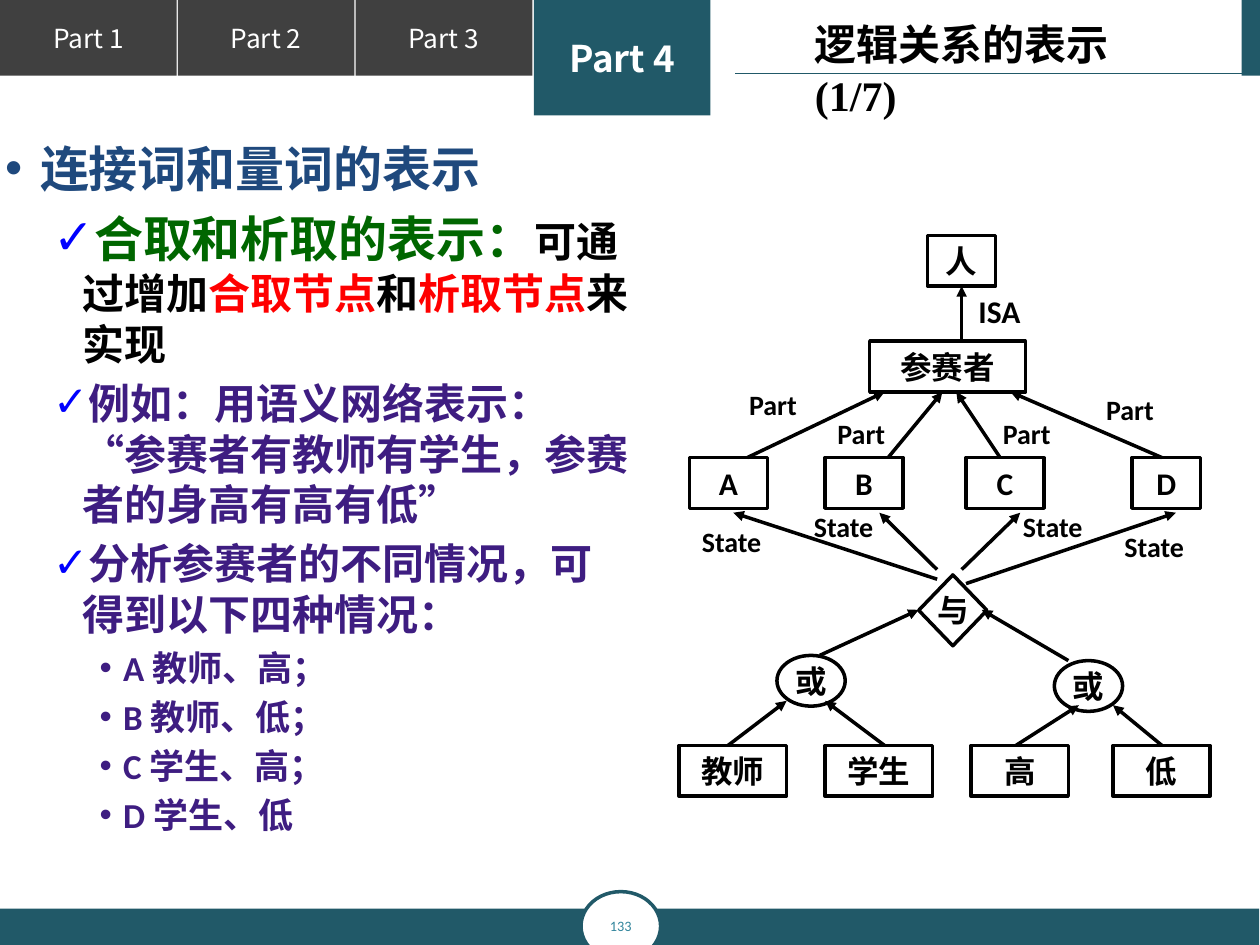
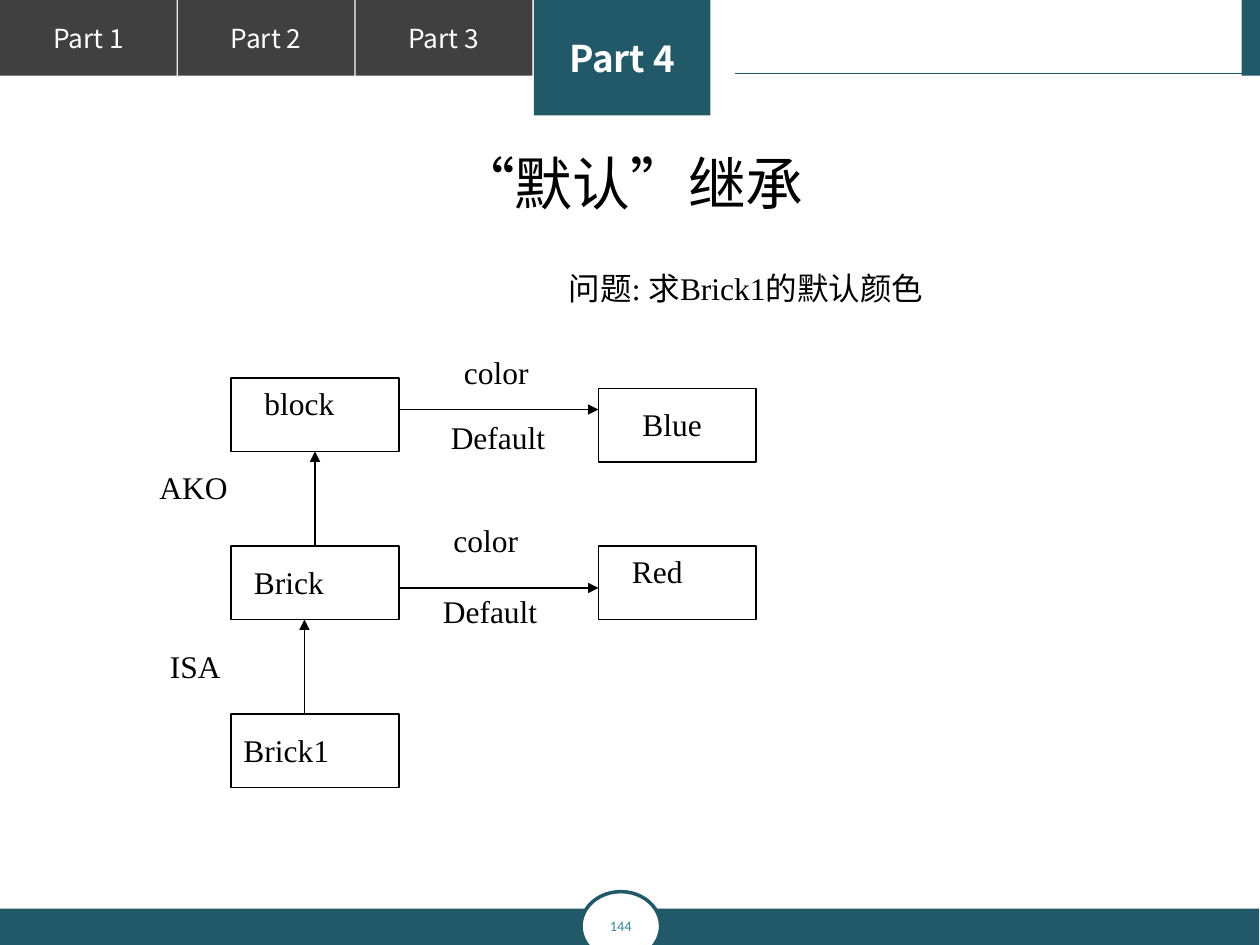
import pptx
import pptx.util
import pptx.dml.color
import pptx.enum.shapes
import pptx.enum.text
import pptx.oxml.ns
from lxml import etree

Pt = pptx.util.Pt
RGBColor = pptx.dml.color.RGBColor
SHAPE = pptx.enum.shapes.MSO_SHAPE
ALIGN = pptx.enum.text.PP_ALIGN
ANCHOR = pptx.enum.text.MSO_ANCHOR
qn = pptx.oxml.ns.qn

WHITE = RGBColor(0xFF, 0xFF, 0xFF)
BLACK = RGBColor(0x00, 0x00, 0x00)
GREY = RGBColor(0x40, 0x40, 0x40)
TEAL = RGBColor(0x21, 0x59, 0x68)
PALE_TEAL = RGBColor(0x31, 0x85, 0x9C)
NAVY = RGBColor(0x1F, 0x49, 0x7D)
GREEN = RGBColor(0x00, 0x66, 0x00)
RED = RGBColor(0xFF, 0x00, 0x00)
PURPLE = RGBColor(0x3E, 0x1D, 0x81)
BLUE = RGBColor(0x00, 0x00, 0xFF)

SANS, SERIF, CJK = "Calibri", "Times New Roman", "Noto Sans CJK SC"
TAB = {"name": CJK, "size": Pt(15), "bold": False}
ACTIVE_TAB = {"name": CJK, "size": Pt(21), "bold": True}
PAGE = {"name": SANS, "size": Pt(8.2), "bold": False}
NODE = {"name": SANS, "size": Pt(18), "bold": True}
RELATION = {"name": SANS, "size": Pt(16), "bold": True}
FRAME_WORD = {"name": SERIF, "size": Pt(18), "bold": False}
HEADING = {"name": SERIF, "size": Pt(24), "bold": True}
BIG_HEADING = {"name": SERIF, "size": Pt(33), "bold": False}
TOPIC = {"name": SERIF, "size": Pt(28), "bold": True}
POINT = {"name": SANS, "size": Pt(24), "bold": True}
CASE = {"name": SANS, "size": Pt(20), "bold": True}


def write(paragraph, words, look, colour):
    """Add one run in the given look, with the same font for Chinese text."""
    run = paragraph.add_run()
    run.text = words
    for key, value in look.items():
        setattr(run.font, key, value)
    run.font.color.rgb = colour
    etree.SubElement(run.font._element, qn("a:ea"), typeface=CJK)


def draw(slide, kind, place, fill=None, line=None, width=2,
         words="", look=NODE, colour=BLACK):
    """Add a preset shape with centred text."""
    shape = slide.shapes.add_shape(kind, *map(Pt, place))
    shape.shadow.inherit = False
    if fill is None:
        shape.fill.background()
    else:
        shape.fill.solid()
        shape.fill.fore_color.rgb = fill
    if line is None:
        shape.line.fill.background()
    else:
        shape.line.color.rgb = line
        shape.line.width = Pt(width)
    if words:
        frame = shape.text_frame
        frame.word_wrap = False
        frame.vertical_anchor = ANCHOR.MIDDLE
        frame.paragraphs[0].alignment = ALIGN.CENTER
        write(frame.paragraphs[0], words, look, colour)


deck = pptx.Presentation()
deck.slide_width, deck.slide_height = Pt(720), Pt(540)
logic = deck.slides.add_slide(deck.slide_layouts[1])
default = deck.slides.add_slide(deck.slide_layouts[5])
strokes = []  # slide, (x1, y1, x2, y2), colour, width, arrowhead
labels = []   # slide, words, left, top, width, look

# Shared tabs, bands and page number
for slide, page in ((logic, "133"), (default, "144")):
    for i in range(3):
        draw(slide, SHAPE.RECTANGLE, (i * 101.6, 0, 101, 43.2), GREY,
             words=f"Part {i + 1}", look=TAB, colour=WHITE)
    draw(slide, SHAPE.RECTANGLE, (305, 0, 101, 66), TEAL,
         words="Part 4", look=ACTIVE_TAB, colour=WHITE)
    draw(slide, SHAPE.RECTANGLE, (709.5, 0, 10.5, 43.2), TEAL)
    draw(slide, SHAPE.RECTANGLE, (0, 519.3, 719.5, 20.7), TEAL)
    draw(slide, SHAPE.OVAL, (332, 509.5, 45.5, 39.5), WHITE, TEAL,
         words=page, look=PAGE, colour=PALE_TEAL)
    strokes.append((slide, (715, 42, 420, 42), TEAL, 0.75, False))

# Titles
for slide, words, look, place, align, spacing in (
        (logic, "逻辑关系的表示(1/7)", HEADING, (458.5, 6, 202, 72), ALIGN.LEFT, 29.5),
        (default, "“默认”继承", BIG_HEADING, (53.5, 80.5, 613.5, 90), ALIGN.CENTER, 40)):
    title = slide.shapes.title
    title.left, title.top, title.width, title.height = map(Pt, place)
    title.text_frame.auto_size = pptx.enum.text.MSO_AUTO_SIZE.NONE
    title.text_frame.vertical_anchor = ANCHOR.TOP
    heading = title.text_frame.paragraphs[0]
    heading.alignment = align
    heading.line_spacing = Pt(spacing)
    write(heading, words, look, BLACK)

# Slide 1: list of points
# level: margin, hanging indent, bullet, bullet colour
BULLETS = {0: (20, 20, "•", None), 1: (44, 16.5, "✓", BLUE), 2: (67.5, 13.5, "•", None)}
points = [
    (0, 34, 0, [("连接词和量词的表示", TOPIC, NAVY)]),
    (1, 29, 11, [("合取和析取的表示：", TOPIC, GREEN), ("可通过增加", POINT, BLACK),
                 ("合取节点", POINT, RED), ("和", POINT, BLACK),
                 ("析取节点", POINT, RED), ("来实现", POINT, BLACK)]),
    (1, 29, 4.8, [("例如：用语义网络表示：“参赛者有教师有学生，参赛者的身高有高有低”",
                   POINT, PURPLE)]),
    (1, 29, 4.8, [("分析参赛者的不同情况，可得到以下四种情况：", POINT, PURPLE)]),
]
for case in ("A 教师、高；", "B 教师、低；", "C 学生、高；", "D 学生、低"):
    points.append((2, 24, 4, [(case, CASE, PURPLE)]))

body = logic.placeholders[1]
body.left, body.top, body.width, body.height = map(Pt, (-4.3, 75, 372.3, 366))
body.text_frame.auto_size = pptx.enum.text.MSO_AUTO_SIZE.NONE
for i, (level, spacing, before, runs) in enumerate(points):
    point = body.text_frame.paragraphs[0] if i == 0 else body.text_frame.add_paragraph()
    margin, hang, mark, mark_colour = BULLETS[level]
    point.level = level
    point.line_spacing = Pt(spacing)
    point.space_before = Pt(before)
    layout = point._p.get_or_add_pPr()
    layout.set("marL", str(Pt(margin)))
    layout.set("indent", str(-Pt(hang)))
    if mark_colour is not None:
        tint = etree.SubElement(layout, qn("a:buClr"))
        etree.SubElement(tint, qn("a:srgbClr"), val=str(mark_colour))
    etree.SubElement(layout, qn("a:buChar"), char=mark)
    for words, look, colour in runs:
        write(point, words, look, colour)

# Slide 1: semantic network
for kind, words, *place in (
        (SHAPE.RECTANGLE, "人", 530, 134.5, 39, 29),
        (SHAPE.RECTANGLE, "参赛者", 497, 195, 89, 29),
        (SHAPE.RECTANGLE, "A", 394, 261.5, 44.5, 29),
        (SHAPE.RECTANGLE, "B", 471.5, 261.5, 44.5, 29),
        (SHAPE.RECTANGLE, "C", 552, 261.5, 44.5, 29),
        (SHAPE.RECTANGLE, "D", 647, 261.5, 39, 29),
        (SHAPE.OVAL, "或", 444, 374.5, 39, 29),
        (SHAPE.OVAL, "或", 602.5, 377.5, 39, 29),
        (SHAPE.RECTANGLE, "教师", 388, 426, 61.5, 29),
        (SHAPE.RECTANGLE, "学生", 471.5, 426, 61.5, 29),
        (SHAPE.RECTANGLE, "高", 555, 426, 55.5, 29),
        (SHAPE.RECTANGLE, "低", 636, 426, 55.5, 29),
        (SHAPE.DIAMOND, "与", 525, 328.5, 39, 40.5)):
    draw(logic, kind, place, line=BLACK, words=words)

for ends in (
        (549.5, 195, 549.5, 163.5),
        (427, 261.5, 505.5, 224), (507.5, 261.5, 538.5, 224),
        (571.5, 261.5, 546.5, 224), (664, 261.5, 577.5, 224),
        (468.5, 374.5, 525, 348.5), (610.5, 377.5, 561, 348.5),
        (416, 426, 449.5, 400.5), (505.5, 426, 471.5, 400.5),
        (580.5, 426, 616.5, 403), (664, 426, 636, 403),
        (535.5, 331, 419, 293), (535.5, 325.5, 502.5, 293),
        (549.5, 325.5, 583, 293), (552, 333.5, 672, 293)):
    strokes.append((logic, ends, BLACK, 2, True))

labels.append((logic, "ISA", 552, 163.5, 70, NODE))
for left, top in ((421, 218), (471.5, 234.5), (566, 234.5), (625, 221)):
    labels.append((logic, "Part", left, top, 55, RELATION))
for left, top in ((394, 296), (577.5, 287.5), (458, 287.5), (635.5, 299)):
    labels.append((logic, "State", left, top, 61, RELATION))

# Slide 2: frame network
for left, top, width in ((132, 216, 96), (132, 312, 96), (132, 408, 96),
                         (342, 312, 90), (342, 222, 90)):
    draw(default, SHAPE.RECTANGLE, (left, top, width, 42), line=BLACK, width=0.75)

for ends in ((180, 312, 180, 258), (228, 336, 342, 336),
             (228, 234, 342, 234), (174, 408, 174, 354)):
    strokes.append((default, ends, BLACK, 0.75, True))

for words, left, top, width in (
        ("问题: 求Brick1的默认颜色", 318, 150, 336),
        ("block", 144, 216, 72), ("Brick", 138, 318, 90), ("Brick1", 132, 414, 90),
        ("Red", 354, 312, 60), ("Blue", 360, 228, 60),
        ("ISA", 90, 366, 60), ("AKO", 84, 264, 78),
        ("color", 252, 294, 66), ("color", 258, 198, 66),
        ("Default", 250.5, 235.5, 90), ("Default", 246, 335, 90)):
    labels.append((default, words, left, top, width, FRAME_WORD))

# Lines and arrows of both slides
for slide, ends, colour, width, arrow in strokes:
    stroke = slide.shapes.add_connector(
        pptx.enum.shapes.MSO_CONNECTOR.STRAIGHT, *map(Pt, ends))
    stroke.line.color.rgb = colour
    stroke.line.width = Pt(width)
    if arrow:
        etree.SubElement(stroke.line._get_or_add_ln(), qn("a:tailEnd"), type="triangle")
    etree.SubElement(stroke._element.spPr, qn("a:effectLst"))

# Labels of both slides
for slide, words, left, top, width, look in labels:
    label = slide.shapes.add_textbox(*map(Pt, (left, top, width, 29)))
    label.text_frame.word_wrap = True
    label.text_frame.paragraphs[0].line_spacing = Pt(look["size"].pt * 1.2)
    write(label.text_frame.paragraphs[0], words, look, BLACK)

deck.save("out.pptx")
